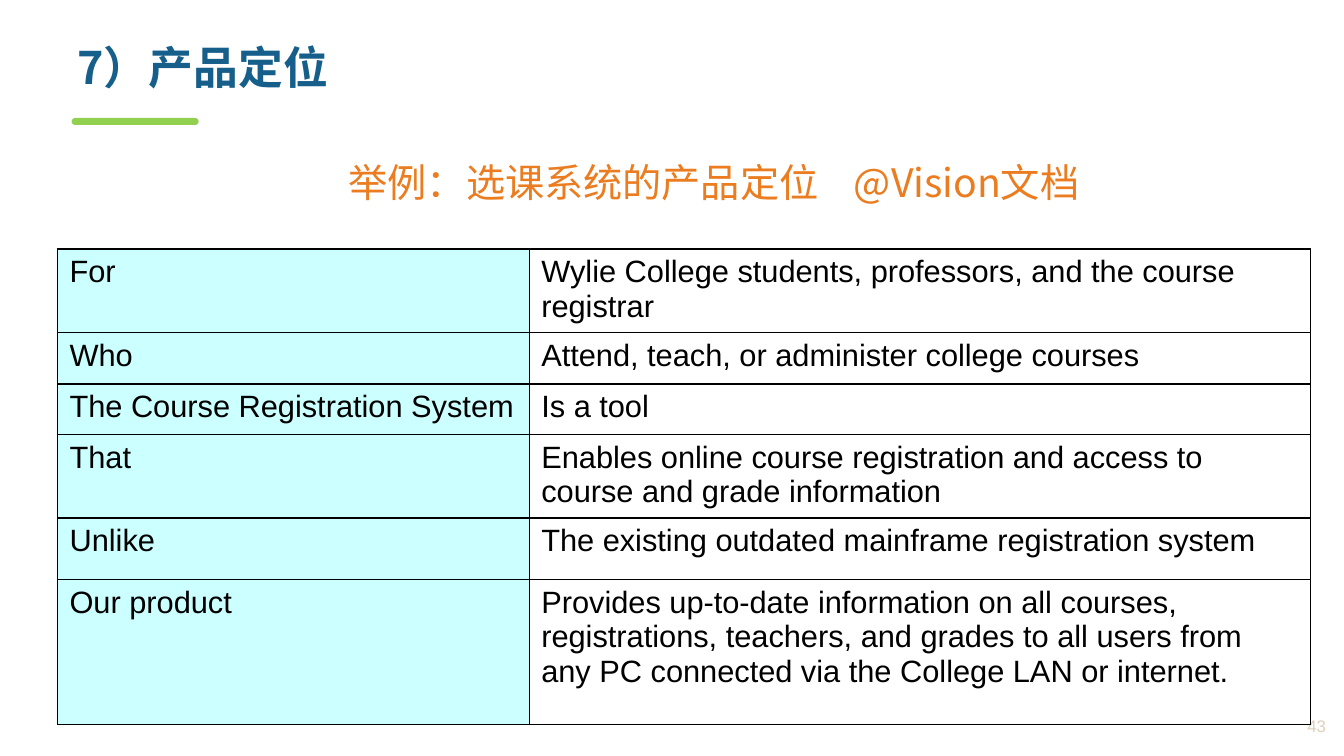
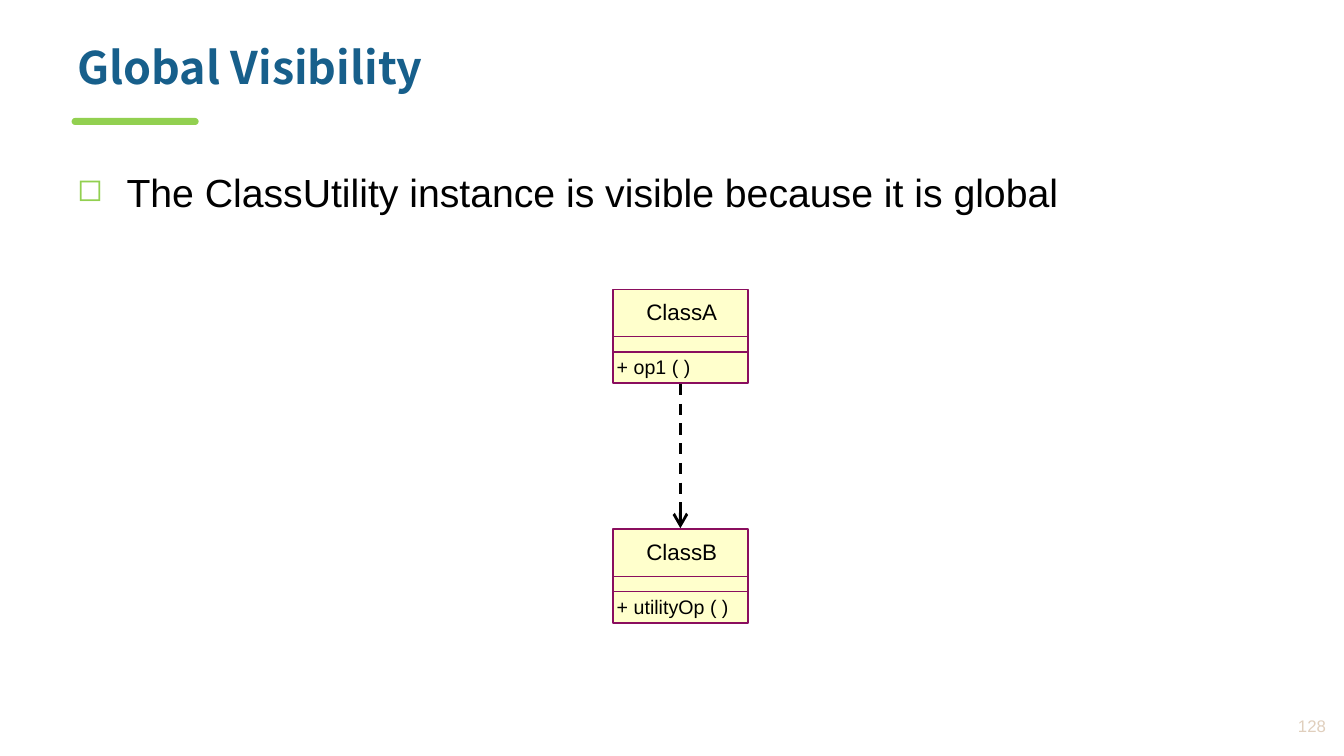
from lxml.etree import SubElement
from pptx import Presentation
from pptx.dml.color import RGBColor
from pptx.enum.dml import MSO_LINE
from pptx.enum.shapes import MSO_CONNECTOR, MSO_SHAPE
from pptx.enum.text import MSO_ANCHOR as Anchor, MSO_AUTO_SIZE, PP_ALIGN as Align
from pptx.oxml.ns import qn
from pptx.util import Inches, Pt

SLIDE_WIDTH, SLIDE_HEIGHT = Inches(13.33), Inches(7.5)
LATIN, CJK = "Arial", "Noto Sans CJK SC"
BLACK, BLUE, GREEN, ORANGE, SAND = "000000", "175F8B", "92D050", "EB7C1F", "E0CFBD"
AQUA, CREAM, PLUM = "CCFFFF", "FFFFCC", "8A0E5E"

TABLE_COLUMNS = (35.1, 58.1)
POSITIONING = (
    (11.07, "For", "Wylie College students, professors, and the course registrar"),
    (6.8, "Who", "Attend, teach, or administer college courses"),
    (6.67, "The Course Registration System", "Is a tool"),
    (11.07, "That", "Enables online course registration and access to "
                    "course and grade information"),
    (8.13, "Unlike", "The existing outdated mainframe registration system"),
    (19.2, "Our product", "Provides up-to-date information on all courses, "
                          "registrations, teachers, and grades to all users from "
                          "any PC connected via the College LAN or internet."),
)

CLASS_LEFT, CLASS_WIDTH, CLASS_HEIGHT = 45.6, 10.05, 12.4
CLASS_A_TOP, CLASS_B_TOP = 38.27, 70
ARROW_GAP = 0.13


def across(percent):
    return round(SLIDE_WIDTH * percent / 100)


def down(percent):
    return round(SLIDE_HEIGHT * percent / 100)


def area(left, top, width, height):
    """Turn shares of the slide, in percent, into lengths."""
    return across(left), down(top), across(width), down(height)


def rgb(value):
    return RGBColor.from_string(value)


def style(para, size, color=BLACK, font=LATIN, bold=False):
    """Format a whole paragraph, its East Asian letters included."""
    para.font.size = Pt(size)
    para.font.color.rgb = rgb(color)
    para.font.bold = bold
    para.font.name = font
    defaults = para._p.pPr.find(qn("a:defRPr"))
    SubElement(defaults, qn("a:ea")).set("typeface", font)


def add_text(slide, place, text):
    """Add a one-paragraph box and return its frame and paragraph."""
    frame = slide.shapes.add_textbox(*area(*place)).text_frame
    frame.word_wrap = True
    para = frame.paragraphs[0]
    para.text = text
    return frame, para


def add_box(slide, kind, place, fill, line=None):
    box = slide.shapes.add_shape(kind, *area(*place))
    box.shadow.inherit = False
    box.fill.solid()
    box.fill.fore_color.rgb = rgb(fill)
    if line:
        box.line.color.rgb = rgb(line)
        box.line.width = Pt(1)
    else:
        box.line.fill.background()
    return box


def add_line(slide, start, end, color, width):
    line = slide.shapes.add_connector(
        MSO_CONNECTOR.STRAIGHT, across(start[0]), down(start[1]),
        across(end[0]), down(end[1]))
    line.line.color.rgb = rgb(color)
    line.line.width = Pt(width)
    SubElement(line._element.spPr, qn("a:effectLst"))
    return line


def add_dashed_arrow(slide, start, end):
    arrow = add_line(slide, start, end, BLACK, 2)
    arrow.line.dash_style = MSO_LINE.DASH
    outline = arrow._element.spPr.find(qn("a:ln"))
    SubElement(outline, qn("a:tailEnd"), type="arrow", w="lg", len="lg")


def add_page(deck, title, number):
    """Add a slide with the shared title, green bar and page number."""
    slide = deck.slides.add_slide(deck.slide_layouts[5])
    heading = slide.shapes.title
    heading.left, heading.top, heading.width, heading.height = area(5, 5.35, 91.4, 10)
    frame = heading.text_frame
    frame.auto_size = MSO_AUTO_SIZE.NONE
    frame.vertical_anchor = Anchor.TOP
    para = frame.paragraphs[0]
    para.text = title
    para.alignment = Align.LEFT
    para.line_spacing = 0.9
    style(para, 32, BLUE, CJK, bold=True)

    bar = add_box(slide, MSO_SHAPE.ROUND_2_SAME_RECTANGLE, (5.33, 15.6, 9.45, 0.93), GREEN)
    bar.adjustments[0] = bar.adjustments[1] = 0.5

    frame, para = add_text(slide, (90.9, 93.5, 8.5, 5), str(number))
    frame.vertical_anchor = Anchor.MIDDLE
    para.alignment = Align.RIGHT
    style(para, 12, SAND)
    return slide


def add_subtitle(slide, text, tab):
    _, para = add_text(slide, (25.2, 20.27, 60, 7.6), text)
    stops = SubElement(para._p.get_or_add_pPr(), qn("a:tabLst"))
    SubElement(stops, qn("a:tab"), pos=str(across(tab)), algn="l")
    style(para, 28, ORANGE, CJK)


def add_bullet(slide, text):
    _, para = add_text(slide, (5, 19.73, 91.5, 13.07), text)
    para.line_spacing = 1.3
    props = para._p.get_or_add_pPr()
    props.set("marL", str(Inches(0.49)))
    props.set("indent", str(-Inches(0.49)))
    color = SubElement(props, qn("a:buClr"))
    SubElement(color, qn("a:srgbClr"), val=GREEN)
    SubElement(props, qn("a:buSzPct"), val="80000")
    SubElement(props, qn("a:buChar"), char="◻")
    style(para, 28)


def set_borders(cell):
    props = cell._tc.get_or_add_tcPr()
    for side in ("lnL", "lnR", "lnT", "lnB"):
        line = SubElement(props, qn(f"a:{side}"), w=str(Pt(1)))
        fill = SubElement(line, qn("a:solidFill"))
        SubElement(fill, qn("a:srgbClr"), val=BLACK)


def fill_cell(cell, text, fill=None):
    set_borders(cell)
    if fill:
        cell.fill.solid()
        cell.fill.fore_color.rgb = rgb(fill)
    else:
        cell.fill.background()
    cell.margin_left = cell.margin_right = Inches(0.12)
    cell.margin_top, cell.margin_bottom = Inches(0.06), Inches(0.03)
    para = cell.text_frame.paragraphs[0]
    para.text = text
    style(para, 22)


def add_positioning_table(slide):
    height = sum(row[0] for row in POSITIONING)
    table = slide.shapes.add_table(
        len(POSITIONING), len(TABLE_COLUMNS),
        *area(4.28, 32.93, sum(TABLE_COLUMNS), height)).table
    table.first_row = table.horz_banding = False
    for column, width in zip(table.columns, TABLE_COLUMNS):
        column.width = across(width)
    for index, (row_height, label, value) in enumerate(POSITIONING):
        table.rows[index].height = down(row_height)
        fill_cell(table.cell(index, 0), label, AQUA)
        fill_cell(table.cell(index, 1), value)


def add_class(slide, top, name, operation):
    """Add a UML class with an empty attribute compartment."""
    add_box(slide, MSO_SHAPE.RECTANGLE,
            (CLASS_LEFT, top, CLASS_WIDTH, CLASS_HEIGHT), CREAM, PLUM)
    for offset in (6.27, 8.27):
        add_line(slide, (CLASS_LEFT, top + offset),
                 (CLASS_LEFT + CLASS_WIDTH, top + offset), PLUM, 1)
    frame, para = add_text(slide, (CLASS_LEFT + 0.1, top + 1.2, CLASS_WIDTH, 3.6), name)
    frame.margin_left = frame.margin_right = frame.margin_top = frame.margin_bottom = 0
    para.alignment = Align.CENTER
    style(para, 16)
    _, para = add_text(slide, (CLASS_LEFT - 0.45, top + 8, 10.8, 4.5), operation)
    style(para, 14)


def main():
    deck = Presentation()
    deck.slide_width, deck.slide_height = SLIDE_WIDTH, SLIDE_HEIGHT

    slide = add_page(deck, "7）产品定位", 43)
    add_positioning_table(slide)
    add_subtitle(slide, "举例：选课系统的产品定位\t@Vision文档", tab=37.6)

    slide = add_page(deck, "Global Visibility", 128)
    add_bullet(slide, "The ClassUtility instance is visible because it is global")
    add_class(slide, CLASS_A_TOP, "ClassA", "+ op1 ( )")
    add_class(slide, CLASS_B_TOP, "ClassB", "+ utilityOp ( )")
    middle = CLASS_LEFT + CLASS_WIDTH / 2
    add_dashed_arrow(slide, (middle, CLASS_A_TOP + CLASS_HEIGHT + ARROW_GAP),
                     (middle, CLASS_B_TOP - ARROW_GAP))

    deck.save("out.pptx")


if __name__ == "__main__":
    main()
